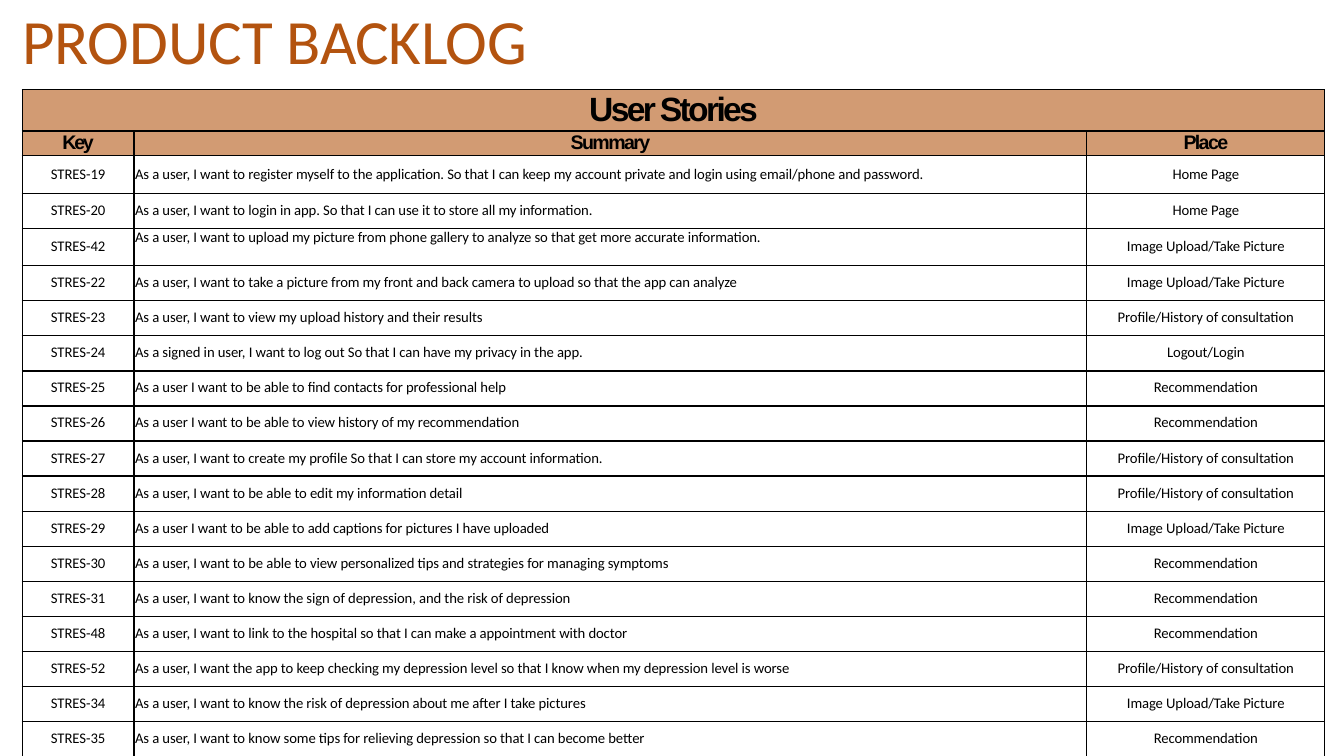
from dataclasses import dataclass

from lxml.etree import SubElement
from pptx import Presentation
from pptx.dml.color import RGBColor
from pptx.enum.text import MSO_ANCHOR, MSO_AUTO_SIZE, PP_ALIGN
from pptx.oxml.ns import qn
from pptx.util import Inches, Pt


@dataclass(frozen=True)
class Theme:
    title_color: RGBColor = RGBColor(0xB3, 0x53, 0x0F)
    header_fill: RGBColor = RGBColor(0xD2, 0x9B, 0x73)
    ink: RGBColor = RGBColor(0, 0, 0)
    body_font: str = "Calibri"
    header_font: str = "Arial"
    title_size: float = 45
    banner_size: float = 24
    header_size: float = 14
    body_size: float = 10.5
    border_width: float = 1


THEME = Theme()

# Table content
BANNER = "User Stories"
HEADERS = [("Key", -1.6), ("Summary", -1.2), ("Place", -1.2)]  # text, letter spacing
HOME, IMAGE = "Home Page", "Image Upload/Take Picture"
PROFILE, ADVICE = "Profile/History of consultation", "Recommendation"
STORIES = [
    (19, "As a user, I want to register myself to the application. So that I can keep my account "
         "private and login using email/phone and password.", HOME),
    (20, "As a user, I want to login in app. So that I can use it to store all my information.", HOME),
    (42, "As a user, I want to upload my picture from phone gallery to analyze so that get more "
         "accurate information.", IMAGE),
    (22, "As a user, I want to take a picture from my front and back camera to upload so that the "
         "app can analyze", IMAGE),
    (23, "As a user, I want to view my upload history and their results", PROFILE),
    (24, "As a signed in user, I want to log out So that I can have my privacy in the app.",
     "Logout/Login"),
    (25, "As a user I want to be able to find contacts for professional help", ADVICE),
    (26, "As a user I want to be able to view history of my recommendation", ADVICE),
    (27, "As a user, I want to create my profile So that I can store my account information.", PROFILE),
    (28, "As a user, I want to be able to edit my information detail", PROFILE),
    (29, "As a user I want to be able to add captions for pictures I have uploaded", IMAGE),
    (30, "As a user, I want to be able to view personalized tips and strategies for managing symptoms",
     ADVICE),
    (31, "As a user, I want to know the sign of depression, and the risk of depression", ADVICE),
    (48, "As a user, I want to link to the hospital so that I can make a appointment with doctor", ADVICE),
    (52, "As a user, I want the app to keep checking my depression level so that I know when my "
         "depression level is worse", PROFILE),
    (34, "As a user, I want to know the risk of depression about me after I take pictures", IMAGE),
    (35, "As a user, I want to know some tips for relieving depression so that I can become better",
     ADVICE),
]

# Table geometry in inches
TABLE_HEIGHT = 6.62
COLUMN_WIDTHS = [1.11, 9.45, 2.36]
HEADER_HEIGHTS = [0.41, 0.24]
TALL_ROWS = {19: 0.38, 42: 0.37}
TOP_MARGINS = {19: 0.1, 42: 0.09}
STORY_HEIGHT = ((TABLE_HEIGHT - sum(HEADER_HEIGHTS) - sum(TALL_ROWS.values()))
                / (len(STORIES) - len(TALL_ROWS)))

# Text formats
BODY = {"name": THEME.body_font, "size": Pt(THEME.body_size), "bold": False}
HEADER = {"name": THEME.header_font, "size": Pt(THEME.header_size), "bold": True}
BANNER_FORMAT = HEADER | {"size": Pt(THEME.banner_size)}
TITLE = {"name": THEME.body_font, "size": Pt(THEME.title_size), "bold": False}


def set_values(target, values):
    for name, value in values.items():
        setattr(target, name, value)


def add_span(para, text, font, color, spacing):
    span = para.add_run()
    span.text = text
    set_values(span.font, font)
    span.font.color.rgb = color
    span.font._element.set("spc", str(round(spacing * 100)))


def add_title(page):
    box = page.shapes.add_textbox(Inches(0.21), Inches(0), Inches(5.07), Inches(0.78))
    set_values(box.text_frame, {
        "word_wrap": True, "auto_size": MSO_AUTO_SIZE.SHAPE_TO_FIT_TEXT,
        "margin_left": Inches(0.01), "margin_top": Inches(0.01),
        "margin_right": 0, "margin_bottom": 0})
    para = box.text_frame.paragraphs[0]
    for text, spacing in [("PRODUCT ", -0.1), ("BACKLOG", -0.3)]:
        add_span(para, text, TITLE, THEME.title_color, spacing)


def add_borders(cell):
    properties = cell._tc.get_or_add_tcPr()
    for side in ("lnL", "lnR", "lnT", "lnB"):
        line = SubElement(properties, qn(f"a:{side}"), w=str(Pt(THEME.border_width)))
        fill = SubElement(line, qn("a:solidFill"))
        SubElement(fill, qn("a:srgbClr"), val=str(THEME.ink))


def fill_cell(cell, text, font, spacing=-0.05, top=0, left=0, align=PP_ALIGN.CENTER,
              line_spacing=None):
    set_values(cell, {
        "margin_left": Inches(left), "margin_top": Inches(top),
        "margin_right": 0, "margin_bottom": 0, "vertical_anchor": MSO_ANCHOR.TOP})
    para = cell.text_frame.paragraphs[0]
    set_values(para, {"alignment": align, "line_spacing": line_spacing})
    add_span(para, text, font, THEME.ink, spacing)


def add_backlog(page):
    heights = HEADER_HEIGHTS + [TALL_ROWS.get(number, STORY_HEIGHT) for number, _, _ in STORIES]
    table = page.shapes.add_table(
        len(heights), len(COLUMN_WIDTHS), Inches(0.22), Inches(0.89),
        Inches(sum(COLUMN_WIDTHS)), Inches(TABLE_HEIGHT)).table
    set_values(table, {"first_row": False, "horz_banding": False})
    for column, width in zip(table.columns, COLUMN_WIDTHS):
        column.width = Inches(width)

    # Row heights, borders and fills
    for index, (row, height) in enumerate(zip(table.rows, heights)):
        row.height = Inches(height)
        for cell in row.cells:
            add_borders(cell)
            if index < len(HEADER_HEIGHTS):
                cell.fill.solid()
                cell.fill.fore_color.rgb = THEME.header_fill
            else:
                cell.fill.background()

    # Banner and column headers
    table.cell(0, 0).merge(table.cell(0, 2))
    fill_cell(table.cell(0, 0), BANNER, BANNER_FORMAT, spacing=-1.9, line_spacing=Pt(28))
    for column, (text, spacing) in enumerate(HEADERS):
        fill_cell(table.cell(1, column), text, HEADER, spacing, line_spacing=Pt(16.4))

    # One story per row
    for row, (number, summary, place) in enumerate(STORIES, len(HEADER_HEIGHTS)):
        top = TOP_MARGINS.get(number, 0.08)
        fill_cell(table.cell(row, 0), f"STRES-{number}", BODY, spacing=0, top=top)
        fill_cell(table.cell(row, 1), summary, BODY, top=0 if number == 42 else top,
                  left=0.01, align=PP_ALIGN.LEFT)
        fill_cell(table.cell(row, 2), place, BODY, top=top)


def main():
    deck = Presentation()
    deck.slide_width, deck.slide_height = Inches(13.33), Inches(7.5)
    page = deck.slides.add_slide(deck.slide_layouts[6])
    add_title(page)
    add_backlog(page)
    deck.save("out.pptx")


if __name__ == "__main__":
    main()
